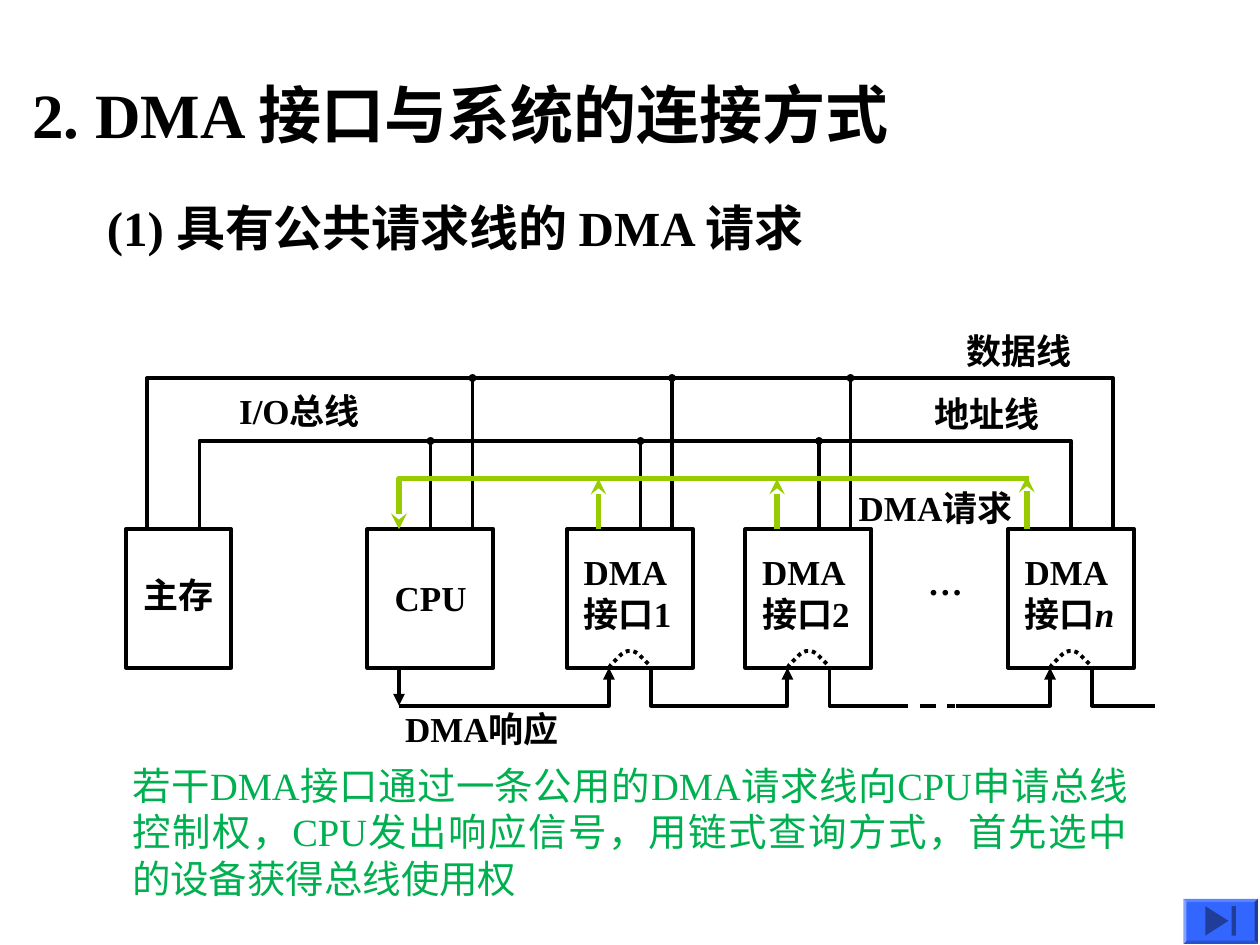
from math import pi, sin

from lxml.etree import SubElement
from pptx import Presentation
from pptx.dml.color import RGBColor
from pptx.enum.dml import MSO_LINE
from pptx.enum.shapes import MSO_CONNECTOR, MSO_SHAPE
from pptx.enum.text import MSO_AUTO_SIZE, PP_ALIGN
from pptx.oxml.ns import qn
from pptx.util import Emu, Pt

PX = 7620  # EMU per px, 120 px to the inch
FONT = "Times New Roman"
BLACK, LIME, GREEN, BLUE, NAVY = "000000", "99CC00", "00B050", "3366FF", "1F3D99"

# Levels of the diagram
DATA_Y, ADDRESS_Y, REQUEST_Y, BOX_TOP, BOX_BOTTOM, CHAIN_Y = 360, 420, 456, 504, 636, 672

# Text: left, top, width, height, lines
TITLE = (19, 66, 880, 84, ["2. DMA 接口与系统的连接方式"])
SUBTITLE = (90, 182, 790, 68, ["(1) 具有公共请求线的 DMA 请求"])
CAPTION = (114, 720, 972, 144, [
    "若干DMA接口通过一条公用的DMA请求线向CPU申请总线控制权，"
    "CPU发出响应信号，用链式查询方式，首先选中的设备获得总线使用权"])
LABELS = [
    (125, 540, 110, 53, ["主存"]),
    (364, 543, 110, 53, ["CPU"]),
    (544, 518, 140, 92, ["DMA", "接口1"]),
    (714, 518, 140, 92, ["DMA", "接口2"]),
    (964, 518, 140, 92, ["DMA", "接口*n"]),  # text after * is italic
    (872, 528, 80, 53, ["…"]),
    (374, 668, 200, 53, ["DMA响应"]),
    (216, 365, 180, 53, ["I/O总线"]),
    (909, 308, 150, 53, ["数据线"]),
    (878, 368, 150, 53, ["地址线"]),
    (806, 457, 200, 53, ["DMA请求"]),
]

# Boxes: left, width
MEMORY, CPU = (120, 100), (350, 120)
INTERFACES = [540, 710, 960]
INTERFACE_WIDTH = 120
GRANT_IN, GRANT_OUT = 40, 80  # offsets from an interface's left edge

# Buses: level, left end, right end
BUSES = [(DATA_Y, 140, 1060), (ADDRESS_Y, 190, 1020)]
DATA_TAPS = [450, 640, 810]
ADDRESS_TAPS = [410, 610, 780]
REQUESTS = [(570, REQUEST_Y), (740, REQUEST_Y), (978, 454)]
CPU_PORT = 380
GAP = (850, 910)  # dashed stretch of the response chain
CHAIN_END = 1100

deck = Presentation()
deck.slide_width, deck.slide_height = Emu(1200 * PX), Emu(900 * PX)
page = deck.slides.add_slide(deck.slide_layouts[6])
shapes = page.shapes


def color(value):
    return RGBColor.from_string(value)


def px(*values):
    return [Emu(value * PX) for value in values]


def set_line(shape, ink=BLACK, width=2.25, dash=None, arrow=None):
    shape.line.color.rgb = color(ink)
    shape.line.width = Pt(width)
    if dash:
        shape.line.dash_style = dash
    if arrow:
        size = "sm" if arrow == "oval" else "med"
        SubElement(shape.line._get_or_add_ln(), qn("a:tailEnd"),
                   type=arrow, w=size, len=size)


def add_text(left, top, width, height, lines, size=20, ink=BLACK, bold=True,
             align=PP_ALIGN.LEFT):
    box = shapes.add_textbox(*px(left, top, width, height))
    frame = box.text_frame
    frame.word_wrap = True
    frame.auto_size = MSO_AUTO_SIZE.NONE
    for number, line in enumerate(lines):
        paragraph = frame.paragraphs[0] if number == 0 else frame.add_paragraph()
        paragraph.alignment = align
        font = paragraph.font
        font.name, font.size, font.bold = FONT, Pt(size), bold
        font.color.rgb = color(ink)
        plain, _, italic = line.partition("*")
        paragraph.add_run().text = plain
        if italic:
            span = paragraph.add_run()
            span.text = italic
            span.font.italic = True


def add_box(left, width):
    box = shapes.add_shape(MSO_SHAPE.RECTANGLE,
                           *px(left, BOX_TOP, width, BOX_BOTTOM - BOX_TOP))
    box.shadow.inherit = False
    box.fill.background()
    set_line(box)
    return box


def add_line(x1, y1, x2, y2, **style):
    line = shapes.add_connector(MSO_CONNECTOR.STRAIGHT, *px(x1, y1, x2, y2))
    set_line(line, **style)
    SubElement(line._element.spPr, qn("a:effectLst"))
    return line


def add_outline(points, close=False):
    builder = shapes.build_freeform(*points[0], scale=PX)
    builder.add_line_segments(points[1:], close=close)
    shape = builder.convert_to_shape()
    shape.shadow.inherit = False
    return shape


def add_path(points, **style):
    path = add_outline(points)
    path.fill.background()
    set_line(path, **style)


def fill_only(shape, ink):
    shape.shadow.inherit = False
    shape.fill.solid()
    shape.fill.fore_color.rgb = color(ink)
    shape.line.fill.background()


# Headings and boxes
add_text(*TITLE, size=36)
add_text(*SUBTITLE, size=28)
add_box(*MEMORY)
cpu_box = add_box(*CPU)
for left in INTERFACES:
    add_box(left, INTERFACE_WIDTH)

# Data and address buses with their taps
for level, left, right in BUSES:
    add_path([(left, BOX_TOP), (left, level), (right, level), (right, BOX_TOP)])
for level, taps in ((DATA_Y, DATA_TAPS), (ADDRESS_Y, ADDRESS_TAPS)):
    for x in taps:
        tap = add_line(x, BOX_TOP, x, level, arrow="oval")
        if x == CPU[0] + CPU[1] // 2:
            tap.begin_connect(cpu_box, 0)

# Shared request line
for x, top in REQUESTS:
    add_line(x, BOX_TOP, x, top, ink=LIME, width=3, arrow="stealth")
add_path([(980, REQUEST_Y), (CPU_PORT, REQUEST_Y), (CPU_PORT, BOX_TOP)],
         ink=LIME, width=3, arrow="stealth")

# Response chain: into each interface, through it, and on
add_line(CPU_PORT, BOX_BOTTOM, CPU_PORT, CHAIN_Y, arrow="triangle")
first, second, last = [(left + GRANT_IN, left + GRANT_OUT) for left in INTERFACES]
for start, (grant, _) in ((CPU_PORT, first), (GAP[1], last)):
    add_path([(start, CHAIN_Y), (grant, CHAIN_Y), (grant, BOX_BOTTOM)],
             arrow="triangle")
add_path([(first[1], BOX_BOTTOM), (first[1], CHAIN_Y),
          (second[0], CHAIN_Y), (second[0], BOX_BOTTOM)], arrow="triangle")
for (_, out), end in ((second, GAP[0]), (last, CHAIN_END)):
    add_path([(out, BOX_BOTTOM), (out, CHAIN_Y), (end, CHAIN_Y)])
add_line(GAP[0], CHAIN_Y, GAP[1], CHAIN_Y, dash=MSO_LINE.DASH)
for start, out in (first, second, last):
    arc = [(start + (out - start) * step / 16, BOX_BOTTOM - 16 * sin(pi * step / 16))
           for step in range(17)]
    add_path(arc, dash=MSO_LINE.ROUND_DOT)

# Labels and caption
for label in LABELS:
    add_text(*label)
add_text(*CAPTION, size=22, ink=GREEN, bold=False, align=PP_ALIGN.JUSTIFY)

# Button with a skip-to-end symbol
button = shapes.add_shape(MSO_SHAPE.BEVEL, *px(1127, 856, 71, 43))
button.adjustments[0] = 0.07
fill_only(button, BLUE)
fill_only(add_outline([(1170, 877), (1148, 891), (1148, 863)], close=True), NAVY)
fill_only(shapes.add_shape(MSO_SHAPE.RECTANGLE, *px(1173, 863, 4, 28)), NAVY)

deck.save("out.pptx")
